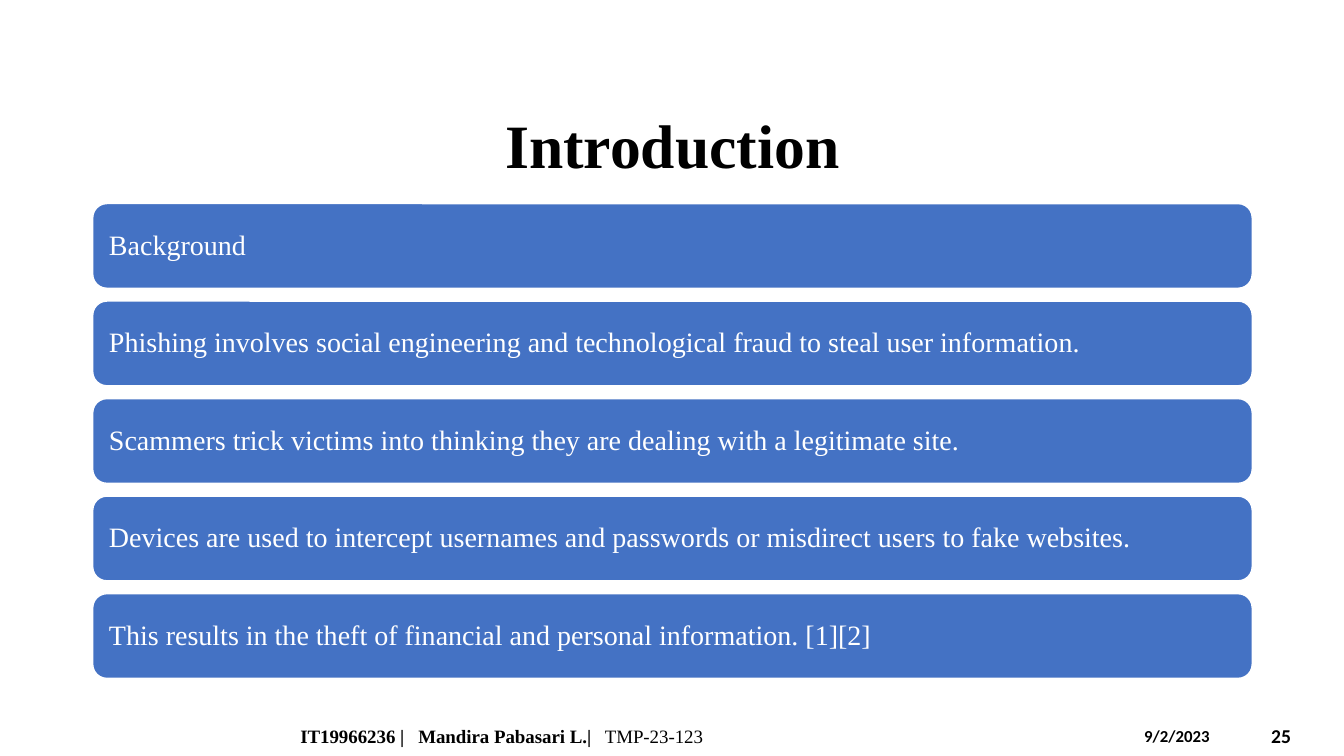
from dataclasses import dataclass

from lxml import etree
from pptx import Presentation
from pptx.dml.color import RGBColor
from pptx.enum import shapes, text
from pptx.oxml import ns
from pptx.util import Inches, Pt


@dataclass(frozen=True)
class Theme:
    ink: RGBColor = RGBColor(0, 0, 0)
    paper: RGBColor = RGBColor(255, 255, 255)
    card: RGBColor = RGBColor(0x44, 0x72, 0xC4)
    serif: str = "Times New Roman"
    sans: str = "Calibri"
    title_size: float = 44
    card_size: float = 20
    footer_size: float = 13.5
    date_size: float = 12
    number_size: float = 14


THEME = Theme()
STATEMENTS = [
    "Background",
    "Phishing involves social engineering and technological fraud to steal user information.",
    "Scammers trick victims into thinking they are dealing with a legitimate site.",
    "Devices are used to intercept usernames and passwords or misdirect users to fake websites.",
    "This results in the theft of financial and personal information. [1][2]",
]


def style(paragraph, name, size, color, bold=None):
    paragraph.font.name = name
    paragraph.font.size = Pt(size)
    paragraph.font.color.rgb = color
    paragraph.font.bold = bold


def add_text_box(slide, box, anchor):
    frame = slide.shapes.add_textbox(*map(Inches, box)).text_frame
    frame.word_wrap = True
    frame.vertical_anchor = anchor
    return frame.paragraphs[0]


def add_tab_stops(paragraph, positions):
    properties = paragraph._p.get_or_add_pPr()
    tab_list = etree.SubElement(properties, ns.qn("a:tabLst"))
    for position in positions:
        etree.SubElement(tab_list, ns.qn("a:tab"), pos=str(Inches(position)), algn="l")


def add_title(slide, box):
    paragraph = add_text_box(slide, box, text.MSO_ANCHOR.BOTTOM)
    paragraph.text = "Introduction"
    paragraph.alignment = text.PP_ALIGN.CENTER
    paragraph.line_spacing = 0.9
    style(paragraph, THEME.serif, THEME.title_size, THEME.ink, True)


def add_cards(slide, box, statements, card_height=0.84, inset=0.12):
    left, top, width, height = box
    pitch = (height - card_height) / (len(statements) - 1)
    for index, statement in enumerate(statements):
        card_box = (left, top + index * pitch, width, card_height)
        card = slide.shapes.add_shape(
            shapes.MSO_SHAPE.ROUNDED_RECTANGLE, *map(Inches, card_box))
        card.shadow.inherit = False
        card.fill.solid()
        card.fill.fore_color.rgb = THEME.card
        card.line.color.rgb = THEME.paper
        card.line.width = Pt(1)
        frame = card.text_frame
        frame.word_wrap = True
        frame.vertical_anchor = text.MSO_ANCHOR.MIDDLE
        frame.margin_left = frame.margin_right = Inches(inset)
        paragraph = frame.paragraphs[0]
        paragraph.text = statement
        paragraph.alignment = text.PP_ALIGN.LEFT
        paragraph.line_spacing = 0.9
        style(paragraph, THEME.serif, THEME.card_size, THEME.paper)


def add_footer(slide, box):
    left, top, width, height = box
    middle = text.MSO_ANCHOR.MIDDLE

    author = add_text_box(slide, (left, top, 7.45, height), middle)
    add_tab_stops(author, (1.17, 3.02))
    for words, bold in (("IT19966236 |\tMandira Pabasari L.|\t", True),
                        ("TMP-23-123", False)):
        run = author.add_run()
        run.text = words
        run.font.bold = bold
    style(author, THEME.serif, THEME.footer_size, THEME.ink)

    date = add_text_box(
        slide, (left + 8.37, top + 0.05, 1.17, 0.3), text.MSO_ANCHOR.TOP)
    date.text = "9/2/2023"
    style(date, THEME.sans, THEME.date_size, THEME.ink, True)

    number = add_text_box(slide, (left + width - 0.74, top, 0.74, height), middle)
    number.text = "25"
    style(number, THEME.sans, THEME.number_size, THEME.ink, True)


def main():
    presentation = Presentation()
    presentation.slide_width = Inches(13.33)
    presentation.slide_height = Inches(7.5)
    slide = presentation.slides.add_slide(presentation.slide_layouts[6])
    add_title(slide, (0.92, 1.03, 11.5, 0.82))
    add_cards(slide, (0.92, 2.02, 11.5, 4.71), STATEMENTS)
    add_footer(slide, (2.88, 7.1, 10.37, 0.4))
    presentation.save("out.pptx")


if __name__ == "__main__":
    main()
